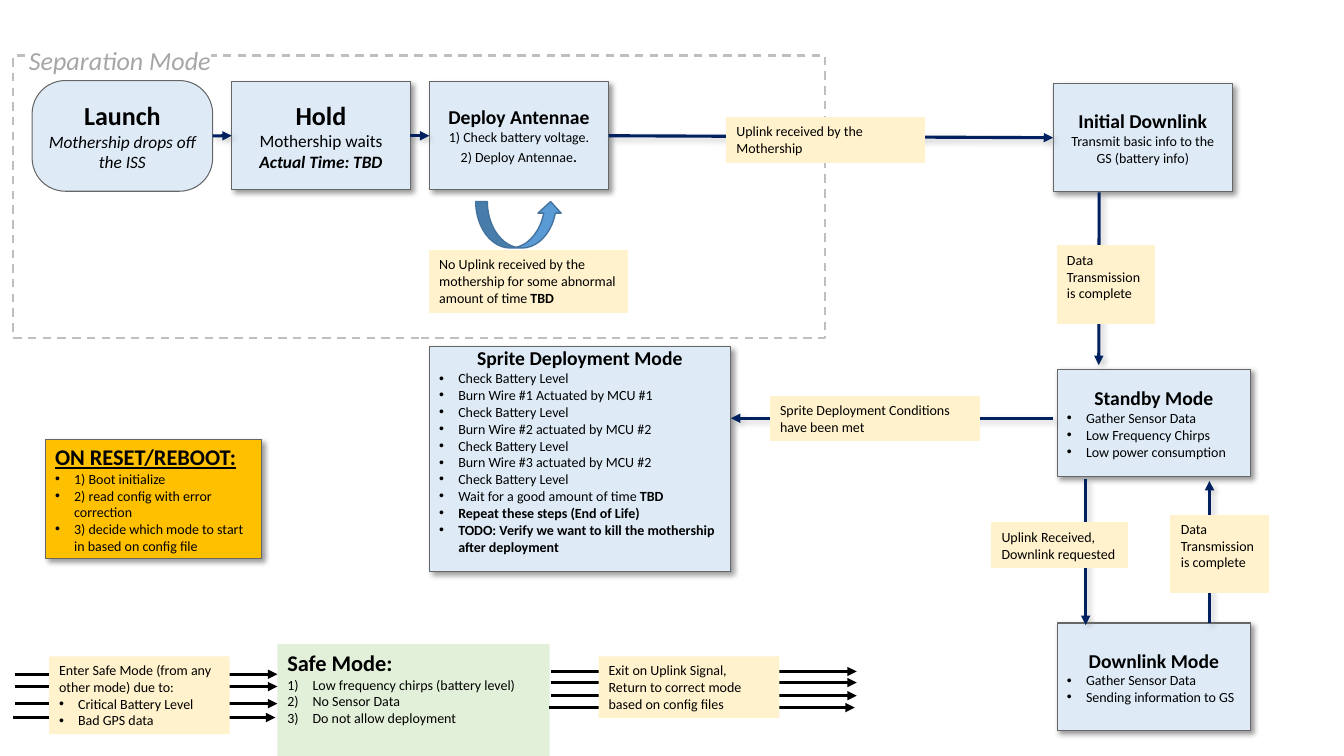
from lxml import etree
from pptx import Presentation
from pptx import util as u
from pptx.dml import color as col
from pptx.enum import dml, shapes, text
from pptx.oxml import ns

HUES = {"blue": "DEEBF7", "cream": "FFF2CC", "gold": "FFC000", "green": "E2F0D9",
        "curve": "5B9BD5", "rim": "43739E", "edge": "666666", "navy": "002060",
        "black": "000000", "dash": "BFBFBF", "title": "A6A6A6", "white": "FFFFFF",
        "shade": "808080"}
KIND = shapes.MSO_SHAPE
MID, TOP = text.MSO_ANCHOR.MIDDLE, text.MSO_ANCHOR.TOP
LISTS = {"dot": ("buChar", "char", "•", 0.48),
         "num": ("buAutoNum", "type", "arabicParenR", 0.64)}


def hue(name):
    return col.RGBColor.from_string(HUES[name])


def sub(node, tag, **attrs):
    return etree.SubElement(node, ns.qn("a:" + tag), {k: str(v) for k, v in attrs.items()})


# Effects: an empty list switches the theme shadow off
def shade(item, name=None):
    props = item._element.spPr
    for old in props.findall(ns.qn("a:effectLst")):
        props.remove(old)
    fx = sub(props, "effectLst")
    if name:
        drop = sub(fx, "outerShdw", blurRad=u.Pt(4), dist=u.Pt(3), dir=2700000,
                   algn="tl", rotWithShape=0)
        sub(sub(drop, "srgbClr", val=HUES[name]), "alpha", val=40000)


# Text: a line is (kind, run, run, ...), a run is (words, size, style letters)
def line(para, kind, runs, tint):
    if kind == "mid":
        para.alignment = text.PP_ALIGN.CENTER
    else:
        para.alignment = text.PP_ALIGN.LEFT
    if kind in LISTS:
        tag, key, mark, gap = LISTS[kind]
        props = para._p.get_or_add_pPr()
        props.set("marL", str(u.Cm(gap)))
        props.set("indent", str(-u.Cm(gap)))
        sub(props, "buFont", typeface="Arial" if kind == "dot" else "Calibri")
        sub(props, tag, **{key: mark})
    for words, size, style in runs:
        run = para.add_run()
        run.text = words
        font = run.font
        font.name, font.size = "Calibri", u.Pt(size)
        font.bold, font.italic = "b" in style, "i" in style
        font.underline = "u" in style
        font.color.rgb = hue(tint)
        if "h" in style:
            glow = etree.Element(ns.qn("a:highlight"))
            sub(glow, "srgbClr", val=HUES["white"])
            run._r.rPr.find(ns.qn("a:solidFill")).addnext(glow)


def fill_in(item, lines, anchor=MID, pad=0.25, side=0.25, tint="black"):
    frame = item.text_frame
    frame.word_wrap = True
    frame.vertical_anchor = anchor
    frame.margin_left = frame.margin_right = u.Cm(side)
    frame.margin_top = frame.margin_bottom = u.Cm(pad)
    for n, (kind, *runs) in enumerate(lines):
        para = frame.add_paragraph() if n else frame.paragraphs[0]
        line(para, kind, runs, tint)


def small(kind, *words):
    return [(kind, (w, 10, "")) for w in words]


def shape(slide, kind, at, fill=None, edge=None, width=0.75):
    item = slide.shapes.add_shape(kind, *map(u.Cm, at))
    if fill:
        item.fill.solid()
        item.fill.fore_color.rgb = hue(fill)
    else:
        item.fill.background()
    if edge:
        item.line.color.rgb = hue(edge)
        item.line.width = u.Pt(width)
    else:
        item.line.fill.background()
    item.shadow.inherit = False
    return item


def state(slide, at, lines, fill="blue"):
    item = shape(slide, KIND.RECTANGLE, at, fill, "edge")
    shade(item, "black")
    fill_in(item, lines)
    return item


def note(slide, at, lines, edge="cream", fill="cream"):
    item = shape(slide, KIND.RECTANGLE, at, fill, edge)
    fill_in(item, lines, TOP, 0.13)
    return item


def arrow(slide, x1, y1, x2, y2, tint="navy"):
    link = slide.shapes.add_connector(shapes.MSO_CONNECTOR.STRAIGHT,
                                      *map(u.Cm, (x1, y1, x2, y2)))
    link.line.color.rgb = hue(tint)
    link.line.width = u.Pt(2.25)
    sub(link.line._get_or_add_ln(), "tailEnd", type="triangle")
    shade(link, "shade" if tint == "navy" else None)
    return link


def join(slide, left, right):
    link = arrow(slide, 0, 0, 1, 1)
    link.begin_connect(left, 3)
    link.end_connect(right, 1)


def sheaf(slide, left, right, rows):
    for n, y in enumerate(rows):
        shift = 0.05 if n == len(rows) - 1 else 0
        arrow(slide, left - shift, y, right - shift, y, "black")


def main():
    deck = Presentation()
    deck.slide_width, deck.slide_height = u.Cm(33.87), u.Cm(19.05)
    slide = deck.slides.add_slide(deck.slide_layouts[6])

    # Separation frame and its title
    frame = shape(slide, KIND.RECTANGLE, (0.33, 1.4, 20.47, 7.11), None, "dash", 1.5)
    frame.line.dash_style = dml.MSO_LINE.DASH
    title = slide.shapes.add_textbox(*map(u.Cm, (0.48, 1.04, 5.54, 0.94)))
    fill_in(title, [("left", ("Separation Mode", 18.6, "ih"))], tint="title")

    # Top row of states
    launch = shape(slide, KIND.ROUNDED_RECTANGLE, (0.81, 2.03, 4.55, 2.79), "blue", "edge")
    launch.adjustments[0] = 0.3
    fill_in(launch, [("mid", ("Launch", 18.6, "b")),
                     ("mid", ("Mothership drops off the ISS", 12.4, "i"))], pad=0, side=0)
    hold = state(slide, (5.84, 2.06, 4.5, 2.72), [
        ("mid", ("Hold", 18.6, "b")),
        ("mid", ("Mothership waits", 12.4, "")),
        ("mid", ("Actual Time: TBD", 12.4, "bi"))])
    deploy = state(slide, (10.82, 2.06, 4.52, 2.72), [
        ("mid", ("Deploy Antennae", 14, "b")),
        ("mid", ("1) Check battery voltage.", 10, "")),
        ("mid", ("2) Deploy Antennae", 10, ""), (".", 12.4, ""))])
    first = state(slide, (26.54, 2.11, 4.52, 2.72), [
        ("mid", ("Initial Downlink", 14, "b")),
        ("mid", ("Transmit basic info to the GS (battery info)", 10, ""))])
    for left, right in ((launch, hold), (hold, deploy), (deploy, first)):
        join(slide, left, right)
    shape(slide, KIND.CURVED_UP_ARROW, (11.99, 5.08, 2.18, 1.17), "curve", "rim", 1)

    # Lower states
    state(slide, (26.64, 9.3, 4.88, 2.72), [
        ("mid", ("Standby Mode", 14, "b")),
        *small("dot", "Gather Sensor Data", "Low Frequency Chirps", "Low power consumption")])
    state(slide, (26.64, 15.7, 4.88, 2.72), [
        ("mid", ("Downlink Mode", 14, "b")),
        *small("dot", "Gather Sensor Data", "Sending information to GS")])
    check = "Check Battery Level"
    sprite = state(slide, (10.82, 8.74, 7.59, 5.66), [
        ("mid", ("Sprite Deployment Mode", 14, "b")),
        *small("dot", check, "Burn Wire #1 Actuated by MCU #1",
               check, "Burn Wire #2 actuated by MCU #2",
               check, "Burn Wire #3 actuated by MCU #2", check),
        ("dot", ("Wait for a good amount of time ", 10, ""), ("TBD", 10, "b")),
        ("dot", ("Repeat these steps (End of Life)", 10, "b")),
        ("dot", ("TODO: Verify we want to kill the mothership after deployment", 10, "b"))])
    sprite.text_frame.margin_bottom = u.Cm(0.68)
    state(slide, (1.14, 11.07, 5.46, 3), [
        ("left", ("ON RESET/REBOOT:", 16, "bu")),
        *small("dot", "1) Boot initialize", "2) read config with error correction",
               "3) decide which mode to start in based on config file")], "gold")

    # Arrows between the lower states
    for ends in ((27.7, 4.85, 27.69, 9.2), (27.36, 12.07, 27.36, 15.75),
                 (30.48, 15.7, 30.48, 12.12), (26.54, 10.54, 18.42, 10.54)):
        arrow(slide, *ends)

    # Conditions on the arrows
    note(slide, (10.82, 6.32, 5, 1.55), [
        ("left", ("No Uplink received by the mothership for some abnormal amount of time ", 10, ""),
         ("TBD", 10, "b"))])
    done = "Data Transmission is complete"
    for at, words in (
            ((18.31, 2.97, 4.98, 1.12), "Uplink received by the Mothership"),
            ((24.99, 13.18, 3.43, 1.12), "Uplink Received, Downlink requested"),
            ((26.64, 6.2, 2.46, 1.96), done),
            ((29.51, 12.98, 2.46, 1.96), done),
            ((19.41, 9.98, 5.28, 1.12), "Sprite Deployment Conditions have been met")):
        note(slide, at, small("left", words))

    # Safe mode with its ways in and out
    note(slide, (6.99, 16.23, 6.86, 3.5), [
        ("left", ("Safe Mode:", 16, "b")),
        *small("num", "Low frequency chirps (battery level)", "No Sensor Data",
               "Do not allow deployment")], None, "green")
    sheaf(slide, 13.89, 21.59, (16.92, 17.2, 17.53, 17.83))
    sheaf(slide, 0.38, 6.99, (16.99, 17.3, 17.73, 18.08))
    note(slide, (15.09, 16.54, 4.55, 1.55), small(
        "left", "Exit on Uplink Signal,", "Return to correct mode based on config files"), None)
    note(slide, (1.24, 16.54, 4.55, 1.96), [
        *small("left", "Enter Safe Mode (from any other mode) due to:"),
        *small("dot", "Critical Battery Level", "Bad GPS data")], None)

    deck.save("out.pptx")


if __name__ == "__main__":
    main()
